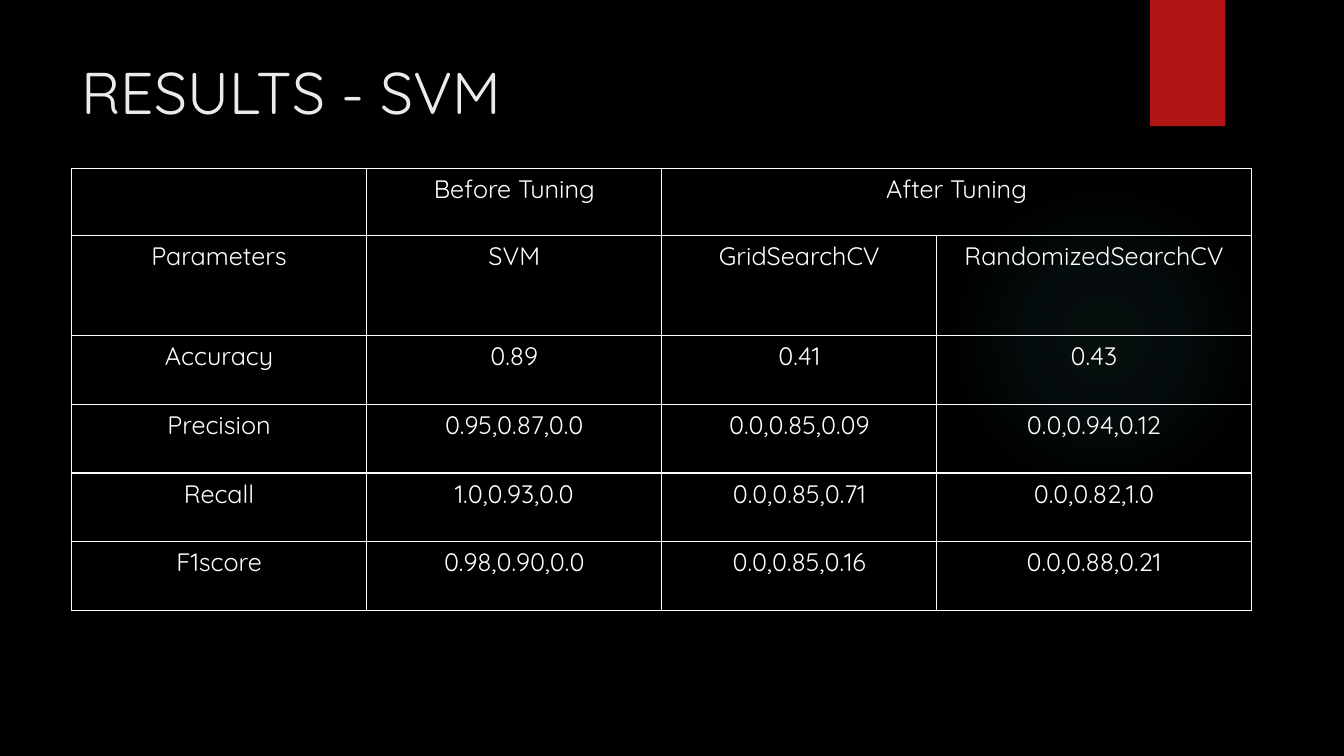
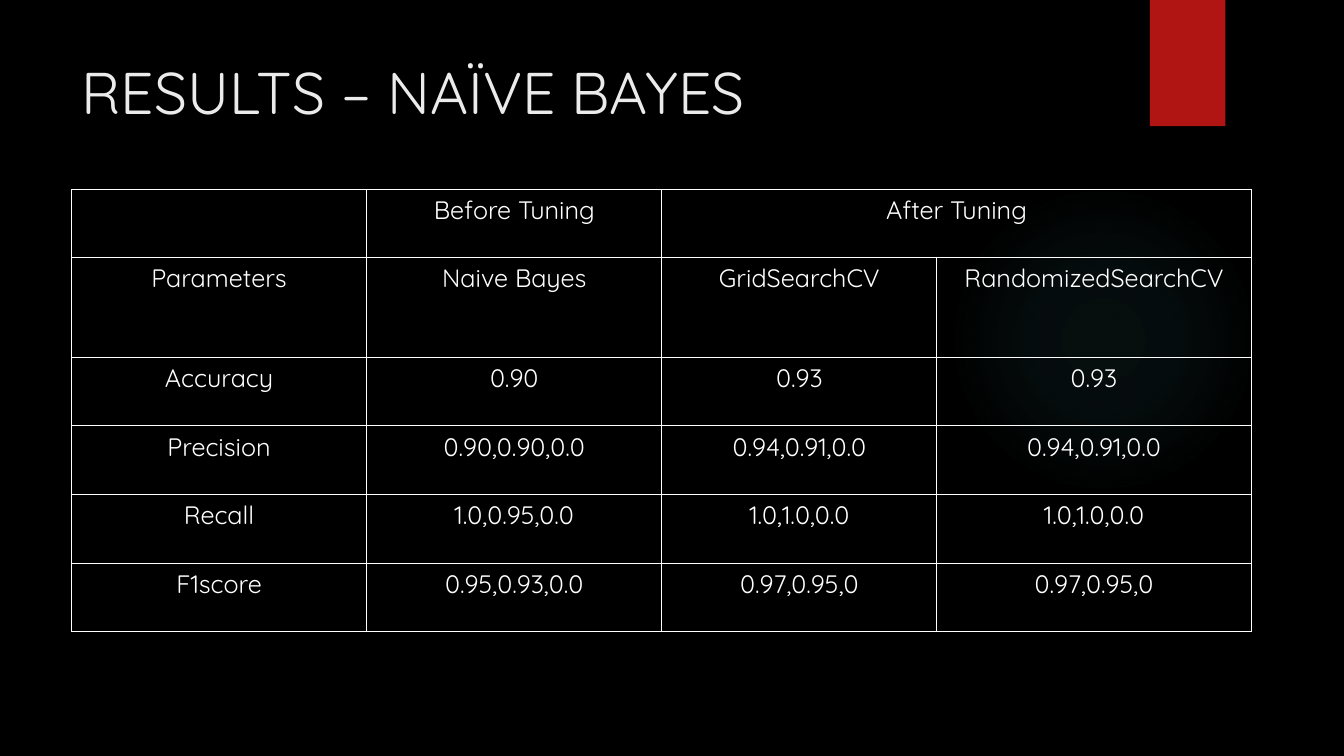
from pptx import Presentation
from pptx.dml.color import RGBColor
from pptx.enum.shapes import MSO_SHAPE as Shape
from pptx.enum.text import MSO_ANCHOR as Anchor, PP_ALIGN as Align
from pptx.oxml import parse_xml
from pptx.oxml.ns import nsdecls, qn
from pptx.util import Cm, Pt

COLORS = {
    "background": "000000",
    "glow": "50B9C1",
    "ribbon": "B01513",
    "title": "EBEBEB",
    "table": "FFFFFF",
}
FONT = "Quicksand"
LEFT = 1.8
COLUMN_WIDTHS = [7.44, 7.44, 6.93, 7.92]
ROW_HEIGHTS = [1.7, 2.52] + [1.73] * 4
GLOW_STOPS = [(0, 7), (36, 6), (69, 0)]
MEASURES = ["Accuracy", "Precision", "Recall", "F1score"]
RESULTS = [
    ("RESULTS - SVM", "SVM", 4.24, [
        ["0.89", "0.41", "0.43"],
        ["0.95,0.87,0.0", "0.0,0.85,0.09", "0.0,0.94,0.12"],
        ["1.0,0.93,0.0", "0.0,0.85,0.71", "0.0,0.82,1.0"],
        ["0.98,0.90,0.0", "0.0,0.85,0.16", "0.0,0.88,0.21"],
    ]),
    ("RESULTS – NAÏVE BAYES", "Naive Bayes", 4.78, [
        ["0.90", "0.93", "0.93"],
        ["0.90,0.90,0.0", "0.94,0.91,0.0", "0.94,0.91,0.0"],
        ["1.0,0.95,0.0", "1.0,1.0,0.0", "1.0,1.0,0.0"],
        ["0.95,0.93,0.0", "0.97,0.95,0", "0.97,0.95,0"],
    ]),
]


def color(name):
    return RGBColor.from_string(COLORS[name])


def style_text(frame, size, color_name, align):
    for para in frame.paragraphs:
        para.alignment = align
        for span in para.runs:
            span.font.name = FONT
            span.font.size = Pt(size)
            span.font.color.rgb = color(color_name)


def add_plain_shape(page, kind, left, top, width, height):
    shape = page.shapes.add_shape(kind, Cm(left), Cm(top), Cm(width), Cm(height))
    shape.shadow.inherit = False
    shape.line.fill.background()
    return shape


def add_glow(page):
    glow = add_plain_shape(page, Shape.OVAL, 23.9, 4.65, 7.82, 7.82)
    stops = "".join(
        f'<a:gs pos="{position * 1000}"><a:srgbClr val="{COLORS["glow"]}">'
        f'<a:alpha val="{opacity * 1000}"/></a:srgbClr></a:gs>'
        for position, opacity in GLOW_STOPS
    )
    gradient = parse_xml(
        f'<a:gradFill {nsdecls("a")}><a:gsLst>{stops}</a:gsLst><a:path path="circle">'
        '<a:fillToRect l="50000" t="50000" r="50000" b="50000"/></a:path></a:gradFill>'
    )
    glow._element.spPr.find(qn("a:prstGeom")).addnext(gradient)


def add_ribbon(page):
    ribbon = add_plain_shape(page, Shape.RECTANGLE, 28.98, 0, 1.9, 3.18)
    ribbon.fill.solid()
    ribbon.fill.fore_color.rgb = color("ribbon")


def add_title(page, text):
    box = page.shapes.add_textbox(Cm(LEFT), Cm(1.27), Cm(26.14), Cm(3.89))
    frame = box.text_frame
    frame.word_wrap = True
    frame.vertical_anchor = Anchor.TOP
    frame.text = text
    style_text(frame, 42, "title", Align.LEFT)


def add_borders(cell):
    properties = cell._tc.get_or_add_tcPr()
    for index, side in enumerate(["lnL", "lnR", "lnT", "lnB"]):
        border = parse_xml(
            f'<a:{side} {nsdecls("a")} w="{Pt(1)}"><a:solidFill>'
            f'<a:srgbClr val="{COLORS["table"]}"/></a:solidFill></a:{side}>'
        )
        properties.insert(index, border)


def add_results_table(page, top, rows):
    frame = page.shapes.add_table(
        len(ROW_HEIGHTS), len(COLUMN_WIDTHS), Cm(LEFT), Cm(top),
        Cm(sum(COLUMN_WIDTHS)), Cm(sum(ROW_HEIGHTS)),
    )
    table = frame.table
    table.first_row = False
    table.horz_banding = False
    for column, width in zip(table.columns, COLUMN_WIDTHS):
        column.width = Cm(width)
    for row, height, texts in zip(table.rows, ROW_HEIGHTS, rows):
        row.height = Cm(height)
        for cell, text in zip(row.cells, texts):
            cell.text_frame.text = text
            style_text(cell.text_frame, 18, "table", Align.CENTER)
            cell.fill.background()
            add_borders(cell)
    table.cell(0, 2).merge(table.cell(0, 3))


def add_results_page(deck, title, model, top, scores):
    page = deck.slides.add_slide(deck.slide_layouts[6])
    add_glow(page)
    add_ribbon(page)
    add_title(page, title)
    rows = [
        ["", "Before Tuning", "After Tuning", ""],
        ["Parameters", model, "GridSearchCV", "RandomizedSearchCV"],
    ]
    rows += [[measure, *values] for measure, values in zip(MEASURES, scores)]
    add_results_table(page, top, rows)


def main():
    deck = Presentation()
    deck.slide_width = Cm(33.87)
    deck.slide_height = Cm(19.05)
    backdrop = deck.slide_master.background.fill
    backdrop.solid()
    backdrop.fore_color.rgb = color("background")
    for result in RESULTS:
        add_results_page(deck, *result)
    deck.save("out.pptx")


main()
